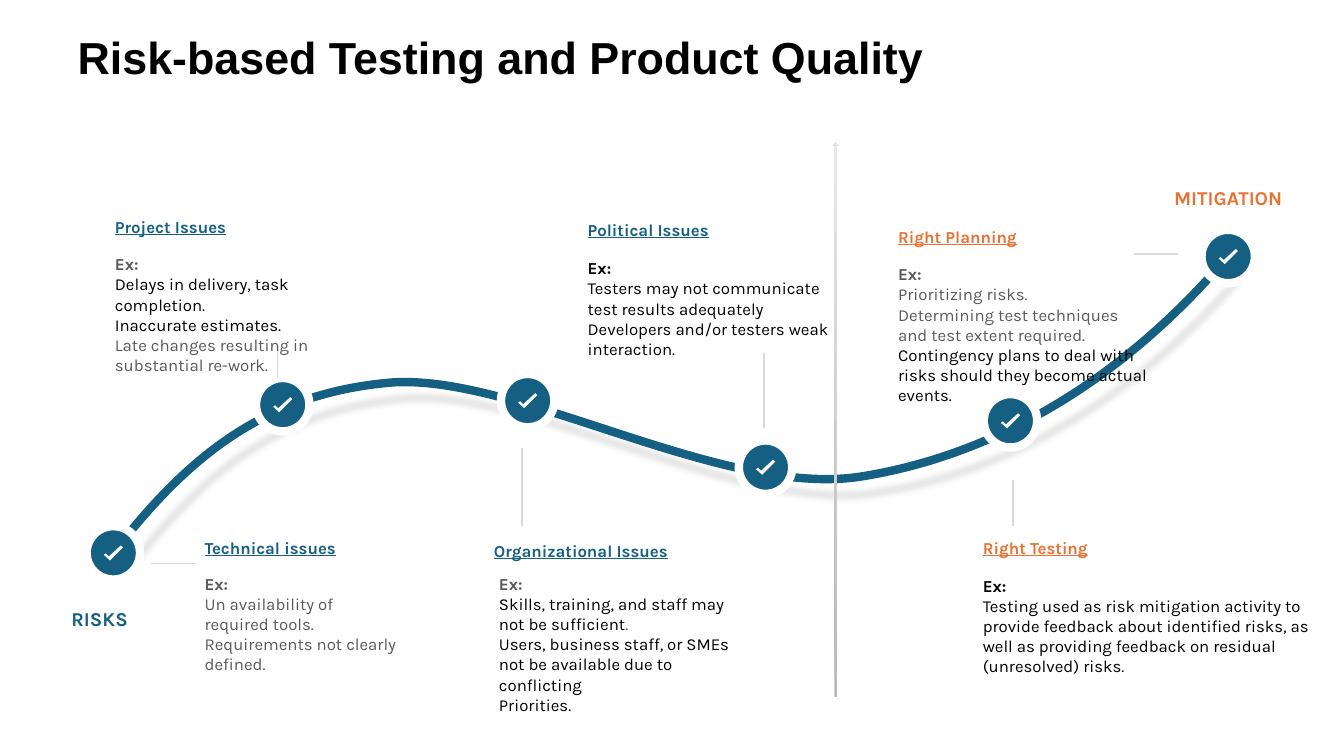
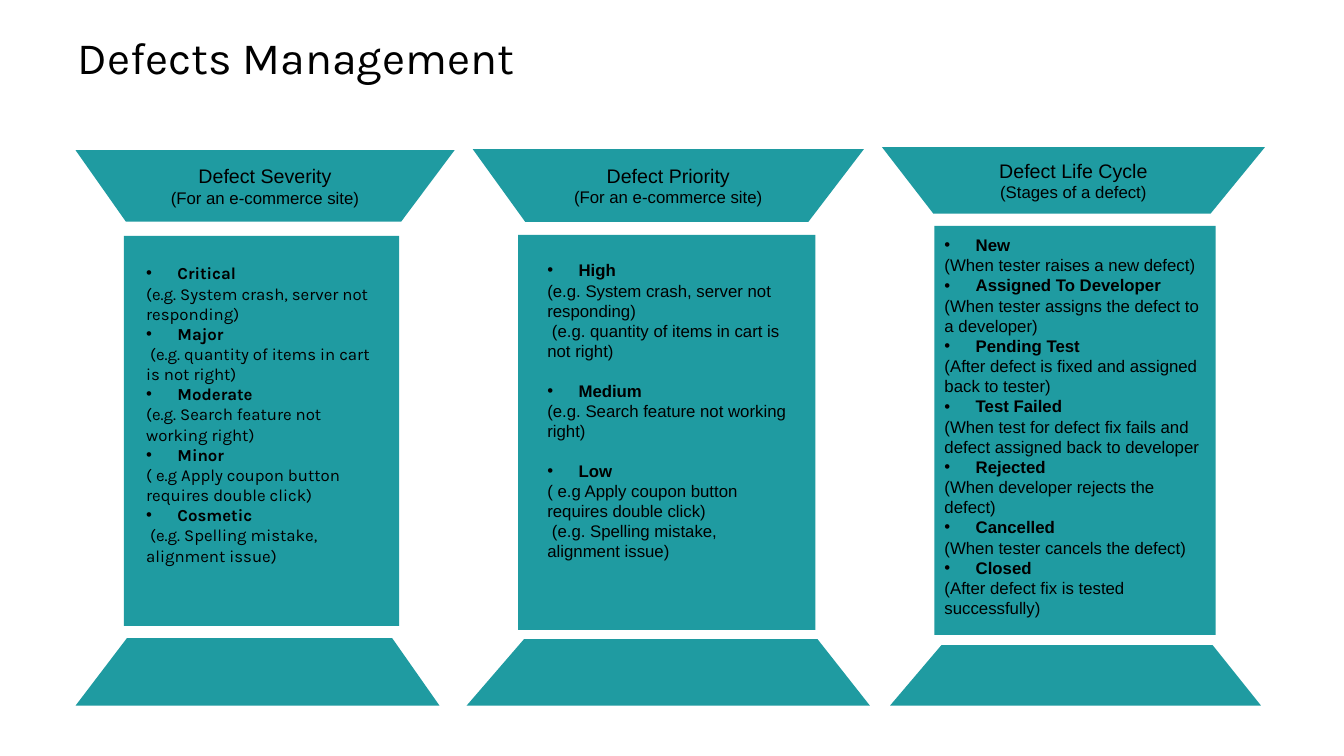
import dataclasses

import lxml.etree
import pptx
import pptx.dml.color
import pptx.enum.shapes
import pptx.enum.text
import pptx.oxml.ns
import pptx.util

qn = pptx.oxml.ns.qn
Align = pptx.enum.text.PP_ALIGN
Anchor = pptx.enum.text.MSO_ANCHOR
Preset = pptx.enum.shapes.MSO_SHAPE

ROWS = 75
SLIDE_WIDTH, SLIDE_HEIGHT = 12192000, 6858000


@dataclasses.dataclass(frozen=True)
class Theme:
    ink: str = "000000"
    muted: str = "595959"
    risk: str = "156082"
    mitigation: str = "E97132"
    pillar: str = "1F9BA1"
    paper: str = "FFFFFF"
    hairline: str = "D9D9D9"
    divider: tuple = ("B8B8B8", "E9E9E9")
    sans: str = "Arial"
    display: str = "Karla"
    title_size: int = 32
    label_size: int = 14
    text_size: int = 12


THEME = Theme()


def grid(*cells):
    return [round(cell * SLIDE_HEIGHT / ROWS) for cell in cells]


def rgb(value):
    return pptx.dml.color.RGBColor.from_string(value)


def apply(target, **values):
    for key, value in values.items():
        setattr(target, key, value)


def add_run(paragraph, text, colour=THEME.ink, size=THEME.text_size, **values):
    run = paragraph.add_run()
    run.text = text
    apply(run.font, size=pptx.util.Pt(size), **{"name": THEME.display, "bold": False, **values})
    run.font.color.rgb = rgb(colour)


def next_paragraph(frame):
    first = frame.paragraphs[0]
    return frame.add_paragraph() if first.runs else first


def paint(shape, colour):
    shape.shadow.inherit = False
    shape.fill.solid()
    shape.fill.fore_color.rgb = rgb(colour)
    shape.line.fill.background()


def add_title(slide, text, **values):
    title = slide.shapes.title
    left, top, width, height = grid(6.7, 3, 120, 7.8)
    apply(title, left=left, top=top, width=width, height=height)
    apply(title.text_frame, vertical_anchor=Anchor.TOP, word_wrap=True,
          auto_size=pptx.enum.text.MSO_AUTO_SIZE.NONE)
    heading = title.text_frame.paragraphs[0]
    apply(heading, alignment=Align.LEFT, line_spacing=0.9)
    add_run(heading, text, size=THEME.title_size, **values)


def add_outline(slide, points, close=True):
    corners = [grid(*point) for point in points]
    builder = slide.shapes.build_freeform(*corners[0])
    builder.add_line_segments(corners[1:], close=close)
    return builder.convert_to_shape()


def add_textbox(slide, box, **values):
    frame = slide.shapes.add_textbox(*grid(*box)).text_frame
    apply(frame, word_wrap=True, **values)
    return frame


def add_label(slide, box, text, colour, alignment):
    paragraph = add_textbox(slide, box).paragraphs[0]
    paragraph.alignment = alignment
    add_run(paragraph, text, colour, THEME.label_size, bold=True)


JOURNEY = [(11.2, 54.9), (18.4, 45.6), (25.9, 39.2), (38.3, 38), (50.6, 36.7),
           (71.3, 49.4), (85.3, 47.3), (99.3, 45.1), (111.9, 37.2), (122.1, 25.1)]
MILESTONES = [(25.4, 37.5), (8.6, 52.2), (73.3, 43.7), (97.6, 39.1), (119.2, 22.8), (49.7, 37.1)]
MILESTONE_SIZE = 5.3
CHECK = [(2.2, 3), (1.9, 2.7), (1.7, 2.85), (2.2, 3.3), (2.3, 3.4), (3.6, 2.1), (3.4, 1.9)]
LEADERS = [(75.8, 35, 75.8, 42.5), (51.8, 44.4, 51.8, 52.2), (27.5, 34.2, 27.5, 37.5),
           (15, 55.9, 19.4, 55.9), (100.5, 47.6, 100.5, 52.2), (112.5, 25.2, 116.9, 25.2)]

INK, MUTED = THEME.ink, THEME.muted
ISSUES = [
    ("Project Issues", THEME.risk, (11.4, 21, 25.8, 16.8), (0, 3.7), [
        [("Ex:", MUTED)], [("Delays in delivery, task completion.", INK)],
        [("Inaccurate estimates.", INK)],
        [("Late changes resulting in substantial re-work.", MUTED)]]),
    ("Organizational Issues", THEME.risk, (49, 53.1, 25.7, 16.4), (0.5, 3.3), [
        [("Ex:", MUTED)],
        [("Skills, training, and staff may not be sufficient", INK), (".", MUTED)],
        [("Users, business staff, or SMEs not be available due to conflicting", INK)],
        [("Priorities.", INK)]]),
    ("Political Issues", THEME.risk, (58.3, 21.3, 23.9, 14.9), (0, 3.8), [
        [("Ex:", INK)], [("Testers may not communicate test results adequately", INK)],
        [("Developers and/or testers weak interaction.", INK)]]),
    ("Right Testing", THEME.mitigation, (97.5, 52.8, 32.4, 14.9), (0, 3.8), [
        [("Ex:", INK)],
        [("Testing used as risk mitigation activity to provide feedback about identified "
          "risks, as well as providing feedback on residual (unresolved) risks.", INK)]]),
    ("Technical issues", THEME.risk, (20.3, 52.8, 19.2, 16.7), (0, 3.6), [
        [("Ex:", MUTED)], [("Un availability of required tools.", MUTED)],
        [("Requirements not clearly defined.", MUTED)]]),
    ("Right Planning", THEME.mitigation, (89.1, 22, 24.8, 18.8), (0, 3.7), [
        [("Ex:", MUTED)], [("Prioritizing risks.", MUTED)],
        [("Determining test techniques and test extent required.", MUTED)],
        [("Contingency plans to deal with risks should they become actual events.", INK)]]),
]


def add_journey(slide, points):
    journey = add_outline(slide, points, close=False)
    journey.fill.background()
    journey.line.width = pptx.util.Pt(6)
    journey.line.color.rgb = rgb(THEME.risk)
    journey.shadow.inherit = False
    properties = journey._element.spPr
    steps = list(properties.iter(qn("a:lnTo")))
    for bend in zip(steps[::3], steps[1::3], steps[2::3]):
        curve = lxml.etree.Element(qn("a:cubicBezTo"))
        bend[0].addprevious(curve)
        for step in bend:
            curve.append(step[0])
            step.getparent().remove(step)
    shadow = lxml.etree.SubElement(
        properties.find(qn("a:effectLst")), qn("a:outerShdw"), blurRad=str(pptx.util.Pt(4)),
        dist=str(pptx.util.Pt(16)), dir="2700000", algn="tl", rotWithShape="0")
    tone = lxml.etree.SubElement(shadow, qn("a:srgbClr"), val=THEME.ink)
    lxml.etree.SubElement(tone, qn("a:alpha"), val="9000")


def add_milestone(slide, left, top):
    disc = slide.shapes.add_shape(
        Preset.OVAL, *grid(left, top, MILESTONE_SIZE, MILESTONE_SIZE))
    paint(disc, THEME.risk)
    disc.line.color.rgb = rgb(THEME.paper)
    disc.line.width = pptx.util.Pt(6)
    paint(add_outline(slide, [(left + x, top + y) for x, y in CHECK]), THEME.paper)


def add_leader(slide, ends):
    leader = slide.shapes.add_connector(
        pptx.enum.shapes.MSO_CONNECTOR.STRAIGHT, *grid(*ends))
    leader.line.color.rgb = rgb(THEME.hairline)
    leader.line.width = pptx.util.Pt(1)
    lxml.etree.SubElement(leader._element.spPr, qn("a:effectLst"))


def add_issue(slide, heading, colour, box, offset, examples):
    left, top, width, height = box
    dx, dy = offset
    flush = {"margin_left": 0, "margin_right": 0}
    header = add_textbox(slide, (left, top, width, 3), vertical_anchor=Anchor.MIDDLE, **flush)
    add_run(header.paragraphs[0], heading, colour, bold=True, underline=True)
    details = add_textbox(slide, (left + dx, top + dy, width - dx, height - dy), **flush)
    for number, line in enumerate(examples):
        paragraph = next_paragraph(details)
        for text, tone in line:
            add_run(paragraph, text, tone, bold=number == 0)


def add_divider(slide, box):
    left, top, width, height = box
    divider = slide.shapes.add_shape(
        Preset.RIGHT_ARROW,
        *grid(left + (width - height) / 2, top + (height - width) / 2, height, width))
    paint(divider, THEME.paper)
    divider.rotation = 270
    divider.fill.gradient()
    divider.fill.gradient_angle = 315
    for stop, colour in zip(divider.fill.gradient_stops, THEME.divider):
        stop.color.rgb = rgb(colour)


def build_risk_slide(deck):
    slide = deck.slides.add_slide(deck.slide_layouts[5])
    add_title(slide, "Risk-based Testing and Product Quality", name=THEME.sans, bold=True)
    add_journey(slide, JOURNEY)
    for position in MILESTONES:
        add_milestone(slide, *position)
    for ends in LEADERS:
        add_leader(slide, ends)
    for issue in ISSUES:
        add_issue(slide, *issue)
    add_label(slide, (6.1, 59.7, 8, 3.4), "RISKS", THEME.risk, Align.LEFT)
    add_label(slide, (114.8, 18, 13.4, 3.4), "MITIGATION", THEME.mitigation, Align.RIGHT)
    add_divider(slide, (82.65, 14.15, 0.5, 55))


CRASH = "(e.g. System crash, server not responding)"
QUANTITY = " (e.g. quantity of items in cart is not right)"
COUPON = "( e.g Apply coupon button requires double click)"
SPELLING = " (e.g. Spelling mistake, alignment issue)"
SHOP = "(For an e-commerce site)"

PILLARS = [
    dict(origin=(7.5, 14.9), heading="Defect Severity", scope=SHOP, font=THEME.display, gap=0,
         cap=(0, 0, 37.6, 7.1), cap_slopes=(5, 5.3), panel=(4.8, 8.5, 27.3, 38.7),
         base=(0, 48.4, 36.1, 6.7), base_slopes=(5.1, 4.7), text_box=(6, 10.7, 24.2, 31.3),
         levels=[("Critical", CRASH), ("Major", QUANTITY),
                 ("Moderate", "(e.g. Search feature not working right)"),
                 ("Minor", COUPON), ("Cosmetic", SPELLING)]),
    dict(origin=(46.3, 14.8), heading="Defect Priority", scope=SHOP, font=THEME.sans, gap=14,
         cap=(0.6, 0, 38.8, 7.2), cap_slopes=(5.2, 5.5), panel=(5.1, 8.5, 29.5, 39.2),
         base=(0, 48.6, 40, 6.6), base_slopes=(5.7, 5.2), text_box=(7, 10.5, 25.8, 32.3),
         levels=[("High", CRASH, QUANTITY),
                 ("Medium", "(e.g. Search feature not working right)"),
                 ("Low", COUPON, SPELLING)]),
    dict(origin=(87.5, 14.6), heading="Defect Life Cycle", scope="(Stages of a defect)",
         font=THEME.sans, gap=0,
         cap=(0, 0, 38, 6.6), cap_slopes=(5.1, 5.4), panel=(5.2, 7.8, 27.9, 40.6),
         base=(0.8, 49.4, 36.8, 6), base_slopes=(5.1, 4.8), text_box=(5.2, 8.2, 27.9, 39.4),
         levels=[("New", "(When tester raises a new defect)"),
                 ("Assigned To Developer", "(When tester assigns the defect to a developer)"),
                 ("Pending Test", "(After defect is fixed and assigned back to tester)"),
                 ("Test Failed",
                  "(When test for defect fix fails and defect assigned back to developer"),
                 ("Rejected", "(When developer rejects the defect)"),
                 ("Cancelled", "(When tester cancels the defect)"),
                 ("Closed", "(After defect fix is tested successfully)")]),
]


def add_trapezoid(slide, box, top_slopes=(0, 0), bottom_slopes=(0, 0)):
    left, top, width, height = box
    right, bottom = left + width, top + height
    trapezoid = add_outline(slide, [
        (left + top_slopes[0], top), (right - top_slopes[1], top),
        (right - bottom_slopes[1], bottom), (left + bottom_slopes[0], bottom)])
    paint(trapezoid, THEME.pillar)
    return trapezoid


def add_list_line(frame, text, font, bulleted, gap):
    paragraph = next_paragraph(frame)
    apply(paragraph, alignment=Align.LEFT, space_before=pptx.util.Pt(gap))
    add_run(paragraph, text, name=font, bold=bulleted)
    properties = paragraph._p.get_or_add_pPr()
    indent = grid(3.1)[0] if bulleted else 0
    properties.set("marL", str(indent))
    properties.set("indent", str(-indent))
    if bulleted:
        lxml.etree.SubElement(properties, qn("a:buFont"), typeface=THEME.sans)
        lxml.etree.SubElement(properties, qn("a:buChar"), char="•")
    else:
        lxml.etree.SubElement(properties, qn("a:buNone"))


def add_pillar(slide, holder, pillar):
    x, y = pillar["origin"]

    def place(part):
        dx, dy, width, height = pillar[part]
        return x + dx, y + dy, width, height

    cap = add_trapezoid(slide, place("cap"), bottom_slopes=pillar["cap_slopes"])
    cap.text_frame.vertical_anchor = Anchor.MIDDLE
    for text, size in ((pillar["heading"], THEME.label_size), (pillar["scope"], THEME.text_size)):
        paragraph = next_paragraph(cap.text_frame)
        paragraph.alignment = Align.CENTER
        add_run(paragraph, text, size=size, name=THEME.sans)
    panel = slide.shapes.add_shape(Preset.RECTANGLE, *grid(*place("panel")))
    paint(panel, THEME.pillar)
    add_trapezoid(slide, place("base"), top_slopes=pillar["base_slopes"])

    slide.shapes._spTree.append(holder._element)
    left, top, width, height = grid(*place("text_box"))
    apply(holder, left=left, top=top, width=width, height=height)
    apply(holder.text_frame, vertical_anchor=Anchor.TOP, word_wrap=True,
          auto_size=pptx.enum.text.MSO_AUTO_SIZE.NONE)
    for order, (level, *meanings) in enumerate(pillar["levels"]):
        add_list_line(holder.text_frame, level, pillar["font"], True, pillar["gap"] if order else 0)
        for meaning in meanings:
            add_list_line(holder.text_frame, meaning, pillar["font"], False, 0)


def build_defects_slide(deck):
    slide = deck.slides.add_slide(deck.slide_layouts[4])
    add_title(slide, "Defects Management")
    *holders, spare = [holder for holder in slide.placeholders
                       if holder.placeholder_format.idx > 0]
    spare._element.getparent().remove(spare._element)
    for holder, pillar in zip(holders, PILLARS):
        add_pillar(slide, holder, pillar)


def main():
    deck = pptx.Presentation()
    apply(deck, slide_width=SLIDE_WIDTH, slide_height=SLIDE_HEIGHT)
    build_risk_slide(deck)
    build_defects_slide(deck)
    deck.save("out.pptx")


if __name__ == "__main__":
    main()
